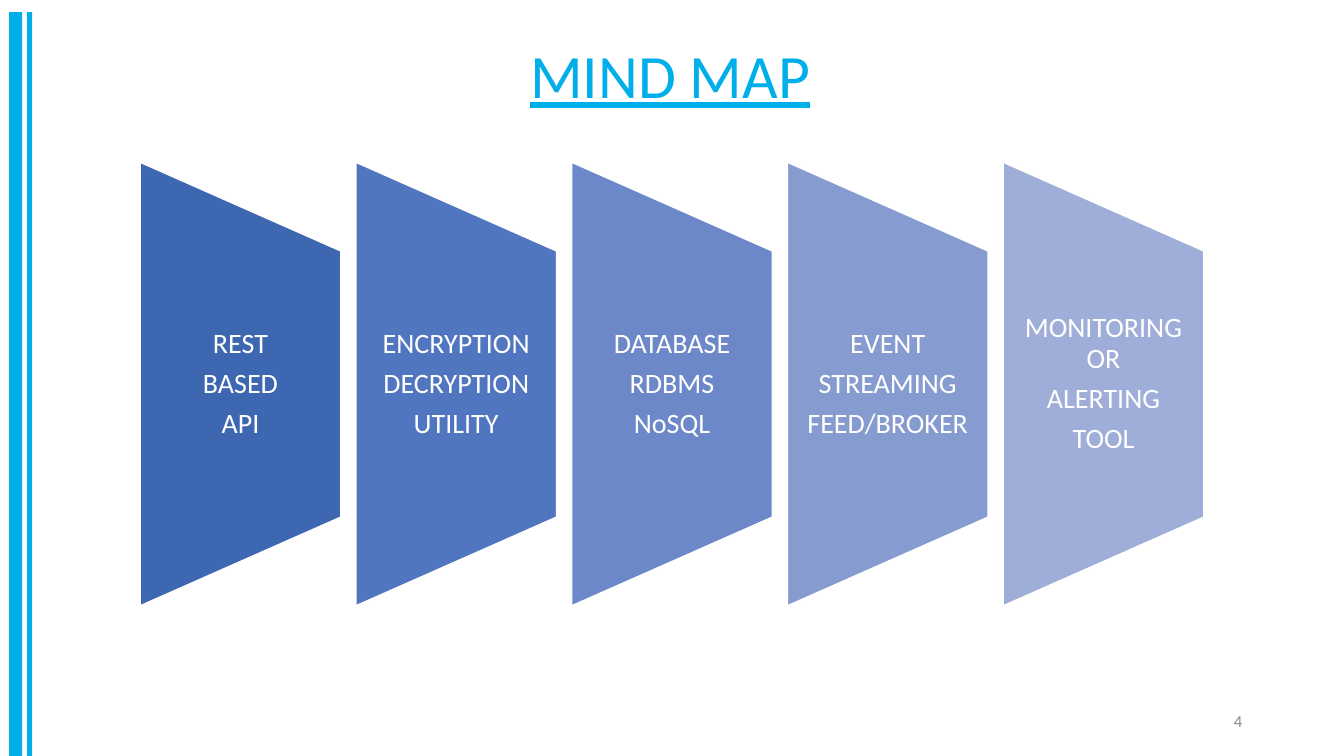
"""Builds a mind map slide with a row of five tapering panels."""
import pptx
import pptx.util
import pptx.dml.color
import pptx.enum.shapes
import pptx.enum.text

Inches = pptx.util.Inches
Pt = pptx.util.Pt
SHAPE = pptx.enum.shapes.MSO_SHAPE
ALIGN = pptx.enum.text.PP_ALIGN
ANCHOR = pptx.enum.text.MSO_ANCHOR

CYAN = "00AFE9"
WHITE = "FFFFFF"
PANELS = [
    ("3E67B2", ["REST", "BASED", "API"]),
    ("5176C0", ["ENCRYPTION", "DECRYPTION", "UTILITY"]),
    ("6C88C8", ["DATABASE", "RDBMS", "NoSQL"]),
    ("869BD0", ["EVENT", "STREAMING", "FEED/BROKER"]),
    ("9FAED8", ["MONITORING OR", "ALERTING", "TOOL"]),
]


def paint(color, code):
    color.rgb = pptx.dml.color.RGBColor.from_string(code)


def add_block(slide, kind, box, fill, line=None):
    block = slide.shapes.add_shape(kind, *map(Inches, box))
    block.shadow.inherit = False
    block.fill.solid()
    paint(block.fill.fore_color, fill)
    if line:
        paint(block.line.color, line)
        block.line.width = Pt(1)
    else:
        block.line.fill.background()
    return block


def add_label(slide, box, lines, size, color, align, anchor=ANCHOR.MIDDLE):
    frame = slide.shapes.add_textbox(*map(Inches, box)).text_frame
    frame.word_wrap = True
    frame.vertical_anchor = anchor
    frame.text = "\n".join(lines)
    for para in frame.paragraphs:
        para.alignment = align
        para.font.name = "Calibri"
        para.font.size = Pt(size)
        paint(para.font.color, color)
    return frame


def add_title(slide, text):
    frame = add_label(slide, (5.16, 0.32, 3.01, 0.84), [text], 44, CYAN,
                      ALIGN.LEFT, ANCHOR.TOP)
    frame.word_wrap = False
    frame.auto_size = pptx.enum.text.MSO_AUTO_SIZE.SHAPE_TO_FIT_TEXT
    frame.paragraphs[0].font.underline = True


def add_panel(slide, left, fill, lines):
    wide, tall, mid = 1.99, 4.4, 3.81
    box = (left + (wide - tall) / 2, mid - wide / 2, tall, wide)
    block = add_block(slide, SHAPE.FLOWCHART_MANUAL_OPERATION, box, fill, WHITE)
    block.rotation = 270
    frame = add_label(slide, (left, mid - 1.32, wide, 2.64), lines, 20, WHITE,
                      ALIGN.CENTER)
    frame.margin_left = frame.margin_right = Inches(0.14)
    frame.margin_top = frame.margin_bottom = 0
    for para in frame.paragraphs:
        para.line_spacing = 0.9
        para.space_after = Pt(7)


def main():
    deck = pptx.Presentation()
    deck.slide_width = Inches(13.33)
    deck.slide_height = Inches(7.5)
    slide = deck.slides.add_slide(deck.slide_layouts[6])
    for left, width in [(0.09, 0.13), (0.27, 0.05)]:
        add_block(slide, SHAPE.RECTANGLE, (left, 0.12, width, 7.38), CYAN)
    add_label(slide, (11.39, 6.95, 1.03, 0.4), ["4"], 12, "8C8C8C", ALIGN.RIGHT)
    add_title(slide, "MIND MAP")
    for index, (fill, lines) in enumerate(PANELS):
        add_panel(slide, 1.39 + 2.14 * index, fill, lines)
    deck.save("out.pptx")


main()
